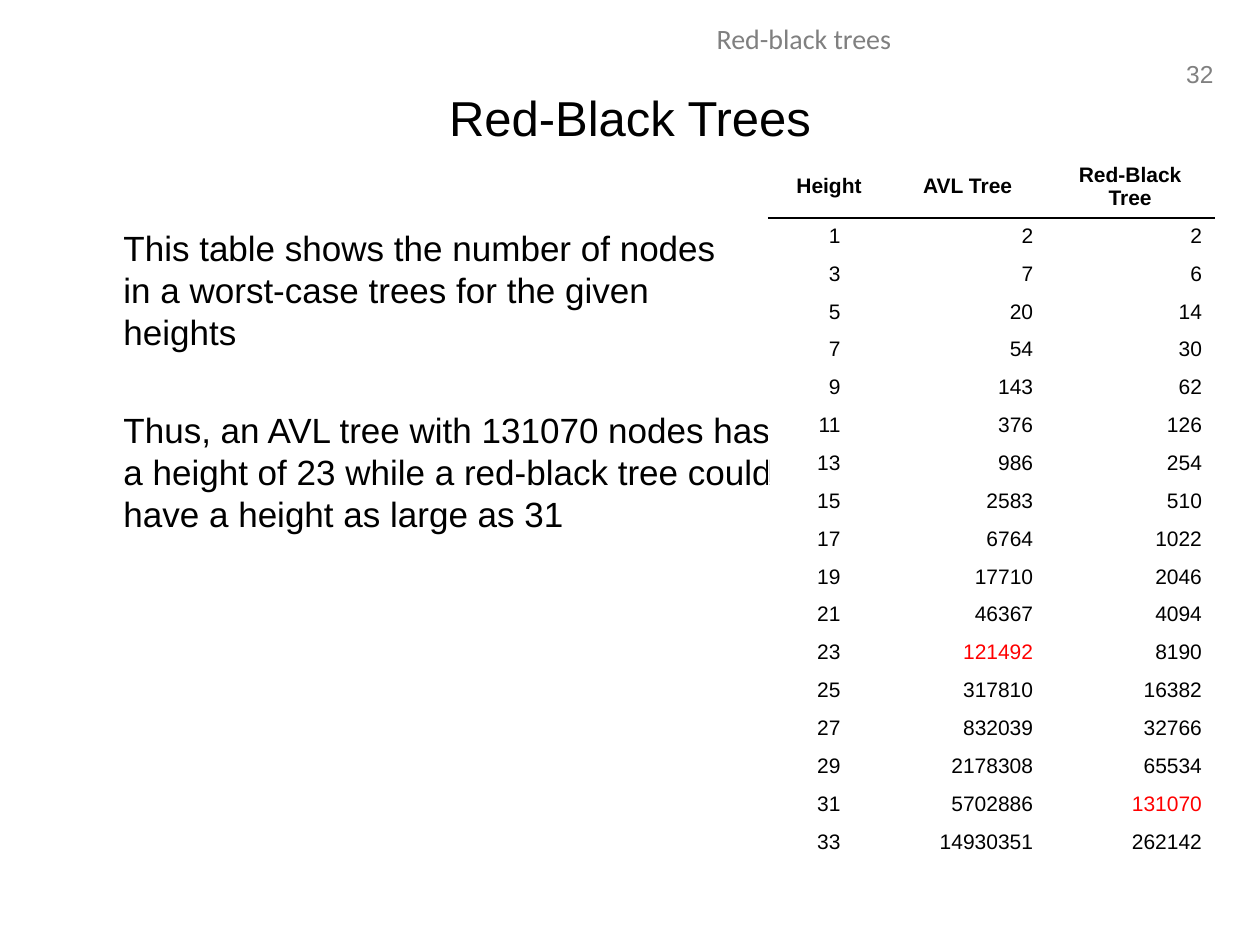
from dataclasses import dataclass

from lxml.etree import SubElement
from pptx import Presentation
from pptx.dml.color import RGBColor
from pptx.enum.text import MSO_ANCHOR, PP_ALIGN
from pptx.oxml import parse_xml
from pptx.oxml.ns import nsdecls
from pptx.slide import Slide
from pptx.util import Inches, Pt

BLACK = RGBColor(0x00, 0x00, 0x00)
GRAY = RGBColor(0x80, 0x80, 0x80)
RED = RGBColor(0xFF, 0x00, 0x00)

HEADINGS = ["Height", "AVL Tree", "Red-Black Tree"]
HEIGHTS = range(1, 34, 2)
AVL_NODES = [2, 7, 20, 54, 143, 376, 986, 2583, 6764, 17710, 46367, 121492,
             317810, 832039, 2178308, 5702886, 14930351]
RED_BLACK_NODES = [2, 6, 14, 30, 62, 126, 254, 510, 1022, 2046, 4094, 8190,
                   16382, 32766, 65534, 131070, 262142]
HIGHLIGHTS = {121492, 131070}

COLUMN_WIDTHS = [0.96, 1.24, 1.34]
RIGHT_MARGINS = [0.39, 0.1, 0.1]
HEADER_HEIGHT = 0.5
ROW_HEIGHT = 0.3


@dataclass
class SlideBuilder:
    page: Slide
    font_name: str = "Arial"

    def style(self, para, size, color=BLACK, align=PP_ALIGN.LEFT, bold=False, name=None):
        para.alignment = align
        para.font.name = name or self.font_name
        para.font.size = Pt(size)
        para.font.bold = bold
        para.font.color.rgb = color

    def text(self, left, top, width, height, paragraphs, size, *, wrap=True,
             anchor=MSO_ANCHOR.TOP, inset=0.1, line=None, gap=0, **look):
        box = self.page.shapes.add_textbox(
            Inches(left), Inches(top), Inches(width), Inches(height))
        frame = box.text_frame
        frame.word_wrap = wrap
        frame.vertical_anchor = anchor
        frame.margin_left = Inches(inset)
        frame.text = "\n".join(paragraphs)
        for index, para in enumerate(frame.paragraphs):
            self.style(para, size, **look)
            if line:
                para.line_spacing = Pt(line)
            if index:
                para.space_before = Pt(gap)

    def rule(self, cell, side):
        """Draw a 1 pt black border on one side (lnT, lnB) of a cell."""
        border = parse_xml(f'<a:{side} {nsdecls("a")} w="{Pt(1)}"/>')
        fill = SubElement(border, border.tag.replace(side, "solidFill"))
        SubElement(fill, border.tag.replace(side, "srgbClr"), val=str(BLACK))
        cell._tc.get_or_add_tcPr().insert(0, border)

    def table(self, left, top, headings, rows):
        height = HEADER_HEIGHT + ROW_HEIGHT * len(rows)
        table = self.page.shapes.add_table(
            len(rows) + 1, len(headings), Inches(left), Inches(top),
            Inches(sum(COLUMN_WIDTHS)), Inches(height)).table
        table.first_row = table.horz_banding = False
        for column, width in zip(table.columns, COLUMN_WIDTHS):
            column.width = Inches(width)
        for row_index, values in enumerate([headings, *rows]):
            is_header = row_index == 0
            table.rows[row_index].height = Inches(HEADER_HEIGHT if is_header else ROW_HEIGHT)
            for column_index, value in enumerate(values):
                cell = table.cell(row_index, column_index)
                cell.text = str(value)
                cell.fill.background()
                para = cell.text_frame.paragraphs[0]
                if is_header:
                    cell.vertical_anchor = MSO_ANCHOR.MIDDLE
                    self.style(para, 12, align=PP_ALIGN.CENTER, bold=True)
                    self.rule(cell, "lnB")
                else:
                    cell.margin_right = Inches(RIGHT_MARGINS[column_index])
                    color = RED if value in HIGHLIGHTS else BLACK
                    self.style(para, 12, color, PP_ALIGN.RIGHT)
                    if row_index == 1:
                        self.rule(cell, "lnT")


def main():
    deck = Presentation()
    deck.slide_width, deck.slide_height = Inches(10), Inches(7.5)
    builder = SlideBuilder(deck.slides.add_slide(deck.slide_layouts[6]))

    builder.text(9.29, 0.42, 0.44, 0.33, ["32"], 14, wrap=False,
                 color=GRAY, align=PP_ALIGN.RIGHT)
    builder.text(3.19, 0.12, 6.38, 0.4, ["Red-black trees"], 16,
                 color=GRAY, align=PP_ALIGN.CENTER, name="Calibri")
    builder.text(0.5, 1.75, 9, 4.95, [
        "This table shows the number of nodes\vin a worst-case trees for the given\vheights",
        "Thus, an AVL tree with 131070 nodes has\va height of 23 while a red-black tree could"
        "\vhave a height as large as 31",
    ], 20, inset=0.48, line=24, gap=32)
    builder.table(6.1, 1.23, HEADINGS, list(zip(HEIGHTS, AVL_NODES, RED_BLACK_NODES)))
    builder.text(0.5, 0.3, 9, 1.25, ["Red-Black Trees"], 28,
                 anchor=MSO_ANCHOR.MIDDLE, align=PP_ALIGN.CENTER)

    deck.save("out.pptx")


if __name__ == "__main__":
    main()
